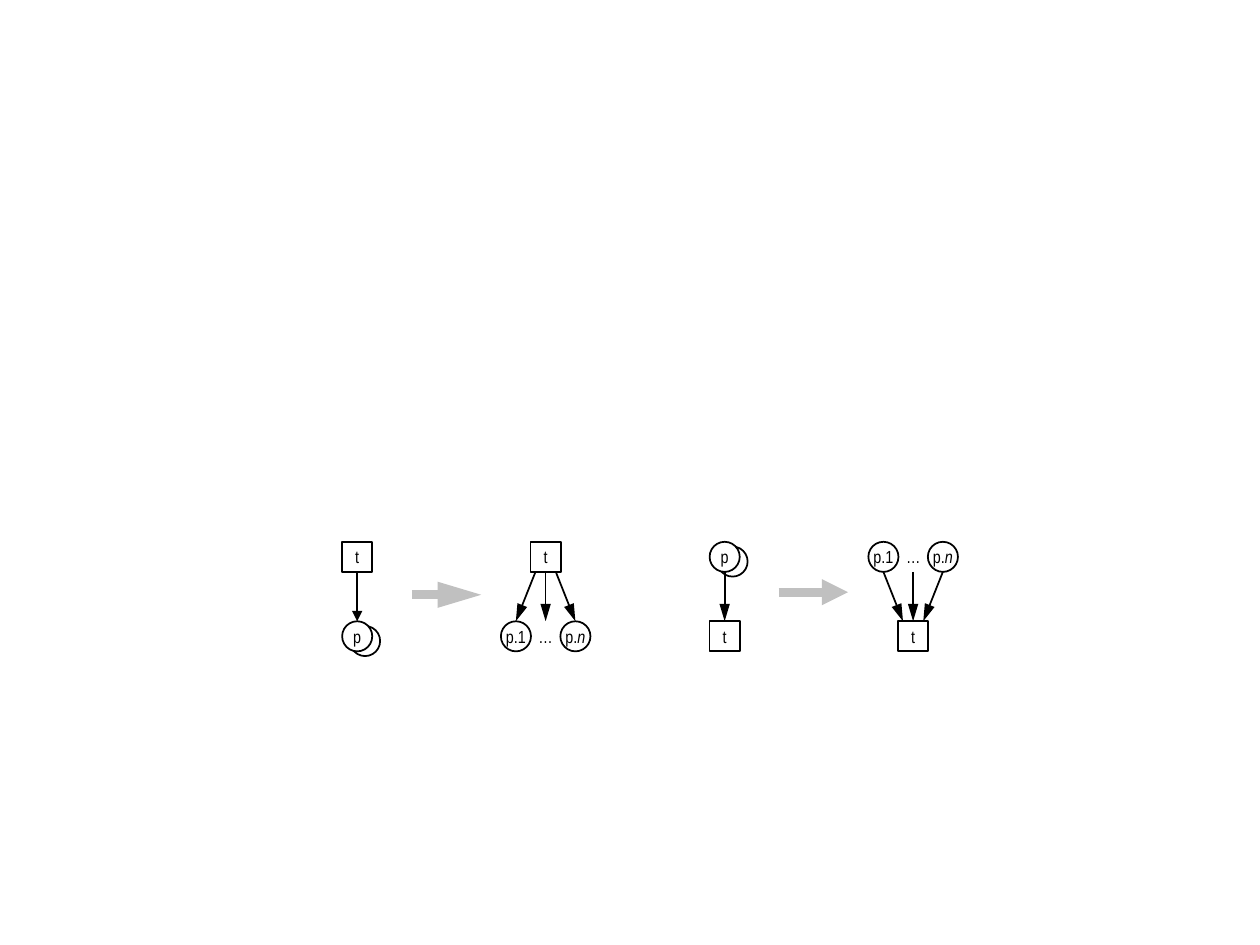
from lxml import etree
from pptx import Presentation
from pptx.dml.color import RGBColor
from pptx.enum.shapes import MSO_CONNECTOR, MSO_SHAPE
from pptx.enum.text import MSO_ANCHOR, PP_ALIGN
from pptx.oxml.ns import qn
from pptx.util import Pt

BOX, CIRCLE = MSO_SHAPE.RECTANGLE, MSO_SHAPE.OVAL
STRAIGHT = MSO_CONNECTOR.STRAIGHT
MIDDLE, CENTER = MSO_ANCHOR.MIDDLE, PP_ALIGN.CENTER

THEME = {
    "font": "Arial Narrow", "size": Pt(10),
    "ink": RGBColor(0, 0, 0), "paper": RGBColor(255, 255, 255),
    "rewrite": RGBColor(0xC0, 0xC0, 0xC0),
    "outline": 1, "rewrite_width": 5,
}

# Content: each rule unfolds a multi-place p next to transition t.
# Labels are lists of (text, italic) runs.
TRANSITION = [("t", False)]
PLACE = [("p", False)]
UNFOLDED = [[("p.1", False)], [("…", False)], [("p.", False), ("n", True)]]
RULES = [
    {"t_on_top": True, "folded_x": 204.1, "unfolded_x": 311.8,
     "rewrite": (235.4, 275, 339.9), "edge_head": "med", "rewrite_head": "lg"},
    {"t_on_top": False, "folded_x": 414.1, "unfolded_x": 521.8,
     "rewrite": (445, 484.6, 338.4), "edge_head": "lg", "rewrite_head": "med"},
]

# Geometry in points
NODE = 17.2
TOP_Y, BOTTOM_Y = 318.2, 363.6
PLACE_GAP, FAN_GAP = 17, 5.8
STACK_X, STACK_Y = 4.5, 2.7

presentation = Presentation()
presentation.slide_width, presentation.slide_height = Pt(720), Pt(540)
slide = presentation.slides.add_slide(presentation.slide_layouts[6])


def add_node(kind, x, y, label=(), outlined=True):
    """Draw a node centred on x, y."""
    node = slide.shapes.add_shape(
        kind, Pt(x - NODE / 2), Pt(y - NODE / 2), Pt(NODE), Pt(NODE))
    node.shadow.inherit = False
    if outlined:
        node.fill.solid()
        node.fill.fore_color.rgb = THEME["paper"]
        node.line.color.rgb = THEME["ink"]
        node.line.width = Pt(THEME["outline"])
    else:
        node.fill.background()
        node.line.fill.background()
    if not label:
        return
    frame = node.text_frame
    frame.word_wrap = False
    frame.vertical_anchor = MIDDLE
    paragraph = frame.paragraphs[0]
    paragraph.alignment = CENTER
    for text, italic in label:
        run = paragraph.add_run()
        run.text = text
        run.font.name = THEME["font"]
        run.font.size = THEME["size"]
        run.font.color.rgb = THEME["ink"]
        if italic:
            run.font.italic = True


def add_arrow(x1, y1, x2, y2, head, color="ink", width="outline"):
    arrow = slide.shapes.add_connector(STRAIGHT, Pt(x1), Pt(y1), Pt(x2), Pt(y2))
    arrow.line.color.rgb = THEME[color]
    arrow.line.width = Pt(THEME[width])
    etree.SubElement(arrow.line._get_or_add_ln(), qn("a:tailEnd"),
                     type="triangle", w="med", len=head)
    etree.SubElement(arrow._element.spPr, qn("a:effectLst"))


edge_top, edge_bottom = TOP_Y + NODE / 2, BOTTOM_Y - NODE / 2

for rule in RULES:
    t_on_top = rule["t_on_top"]
    t_y, p_y = (TOP_Y, BOTTOM_Y) if t_on_top else (BOTTOM_Y, TOP_Y)
    folded_x, unfolded_x = rule["folded_x"], rule["unfolded_x"]

    # Folded net: one transition and a stacked place
    add_node(BOX, folded_x, t_y, TRANSITION)
    add_node(CIRCLE, folded_x + STACK_X, p_y + STACK_Y)
    add_node(CIRCLE, folded_x, p_y, PLACE)
    add_arrow(folded_x, edge_top, folded_x, edge_bottom, rule["edge_head"])

    # Unfolded net: one transition and places p.1 to p.n
    add_node(BOX, unfolded_x, t_y, TRANSITION)
    for step, label in zip((-1, 0, 1), UNFOLDED):
        place_x = unfolded_x + step * PLACE_GAP
        port_x = unfolded_x + step * FAN_GAP
        add_node(CIRCLE, place_x, p_y, label, outlined=step != 0)
        start_x, end_x = (port_x, place_x) if t_on_top else (place_x, port_x)
        add_arrow(start_x, edge_top, end_x, edge_bottom, "lg")

    # Rewrite arrow between the two nets
    left, right, y = rule["rewrite"]
    add_arrow(left, y, right, y, rule["rewrite_head"], "rewrite", "rewrite_width")

presentation.save("out.pptx")
